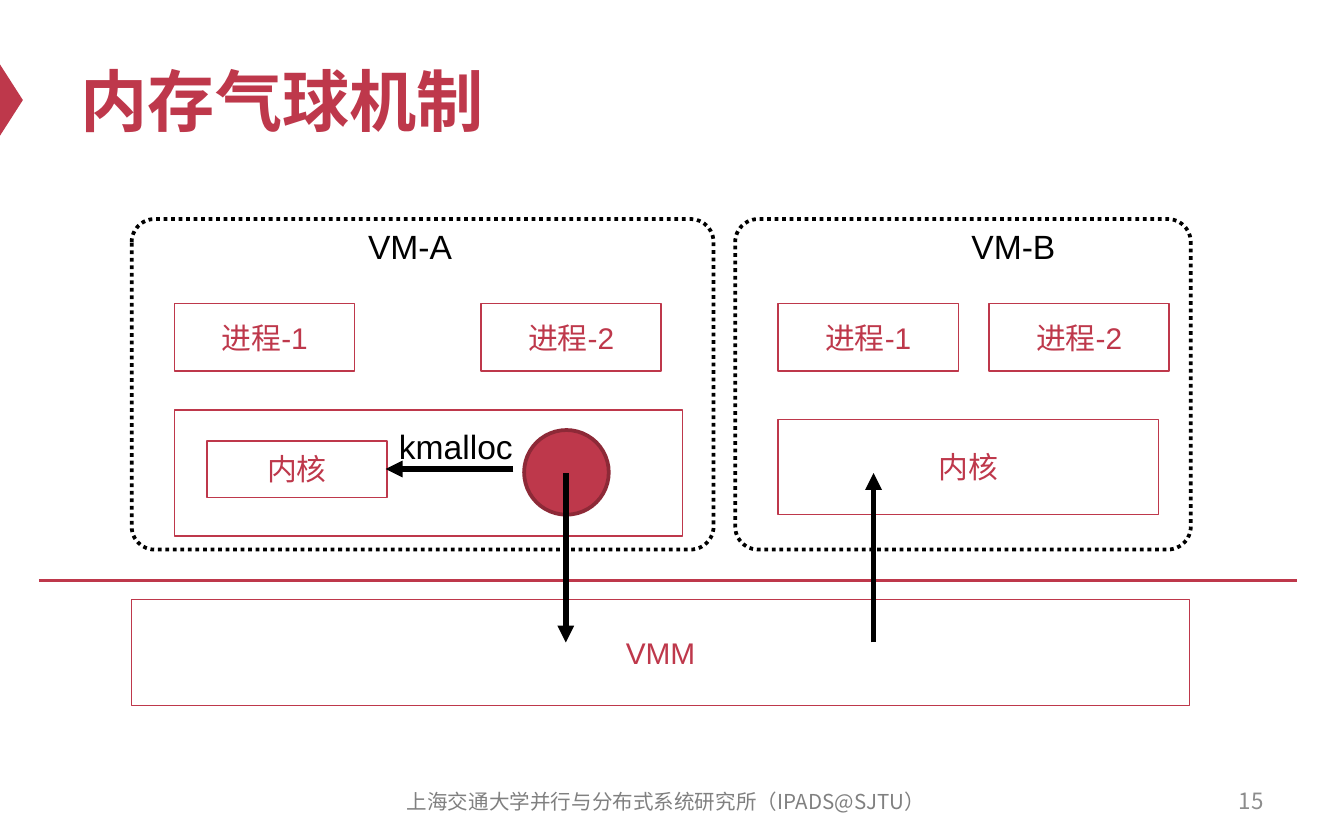
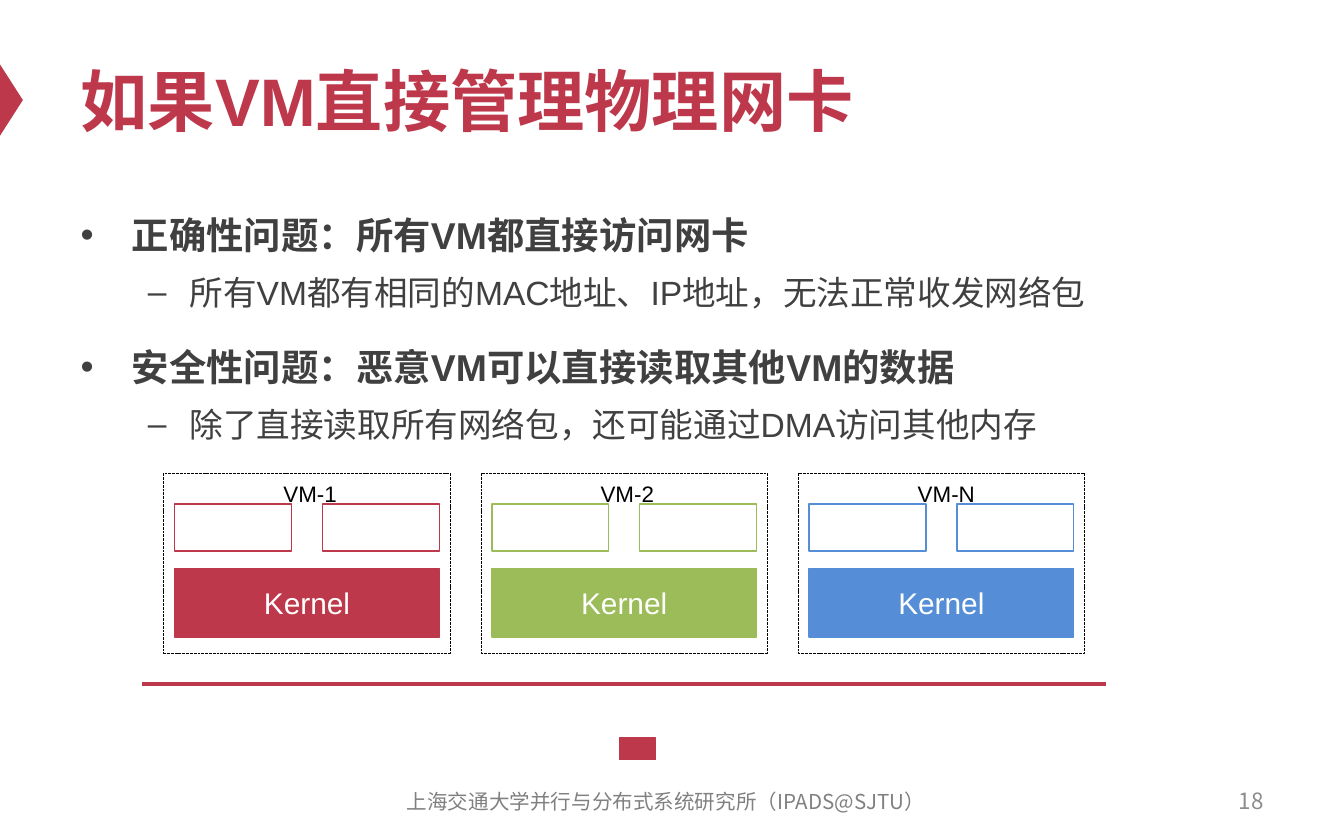
from lxml.etree import SubElement
from pptx import Presentation
from pptx.dml.color import RGBColor
from pptx.enum.dml import MSO_LINE
from pptx.enum.shapes import MSO_CONNECTOR, MSO_SHAPE as Shape
from pptx.enum.text import MSO_ANCHOR as Anchor, MSO_AUTO_SIZE as AutoSize, PP_ALIGN as Align
from pptx.oxml.ns import qn
from pptx.util import Inches, Pt

RED, DARK_RED, GREEN, BLUE = "BE384B", "8D2937", "9BBC59", "558ED6"
BLACK, WHITE, TEXT = "000000", "FFFFFF", "404040"
LATIN, CJK = "Arial", "Noto Sans CJK SC"
FOOTER = "上海交通大学并行与分布式系统研究所（IPADS@SJTU）"

BALLOON_TITLE = "内存气球机制"
PROCESS_TOP, PROCESS_SIZE = 2.26, (1.34, 0.5)
MACHINES = [
    {"name": "VM-A", "left": 0.98, "width": 4.33, "label_left": 2.64,
     "processes": [("进程-1", 1.3), ("进程-2", 3.58)],
     "kernels": [("", 1.3, 3.05, 3.78, 0.94), ("内核", 1.54, 3.28, 1.34, 0.42)]},
    {"name": "VM-B", "left": 5.47, "width": 3.39, "label_left": 7.13,
     "processes": [("进程-1", 5.79), ("进程-2", 7.36)],
     "kernels": [("内核", 5.79, 3.12, 2.83, 0.71)]},
]
ARROWS = [
    ((3.82, 3.49), (2.87, 3.49)),
    ((4.21, 3.52), (4.21, 4.78)),
    ((6.5, 4.78), (6.5, 3.52)),
]

NETWORK_TITLE = "如果VM直接管理物理网卡"
BULLETS = [
    (0, "正确性问题：所有VM都直接访问网卡"),
    (1, "所有VM都有相同的MAC地址、IP地址，无法正常收发网络包"),
    (0, "安全性问题：恶意VM可以直接读取其他VM的数据"),
    (1, "除了直接读取所有网络包，还可能通过DMA访问其他内存"),
]
LEVELS = [
    {"mark": "•", "margin": 0.38, "indent": -0.38, "before": 12, "size": 20, "bold": True},
    {"mark": "–", "margin": 0.81, "indent": -0.31, "before": 4, "size": 18, "bold": False},
]
GUESTS = [("VM-1", RED), ("VM-2", GREEN), ("VM-N", BLUE)]
GUEST_LEFT, GUEST_PITCH = 1.22, 2.36


def color(value):
    return RGBColor.from_string(value)


def write(paragraph, text, size=16, fill=BLACK, bold=False, font=LATIN, align=Align.LEFT):
    paragraph.alignment = align
    run = paragraph.add_run()
    run.text = text
    run.font.size, run.font.bold, run.font.name = Pt(size), bold, font
    run.font.color.rgb = color(fill)
    east_asian = SubElement(run.font._element, qn("a:ea"))
    east_asian.set("typeface", CJK)


def place(shape, left, top, width, height):
    shape.left, shape.top = Inches(left), Inches(top)
    shape.width, shape.height = Inches(width), Inches(height)


def add_box(slide, left, top, width, height, kind=Shape.RECTANGLE, fill=None,
            line=None, weight=0.75, dash=None, text="", text_fill=RED):
    shape = slide.shapes.add_shape(kind, *map(Inches, (left, top, width, height)))
    shape.shadow.inherit = False
    if fill:
        shape.fill.solid()
        shape.fill.fore_color.rgb = color(fill)
    else:
        shape.fill.background()
    if line:
        shape.line.color.rgb = color(line)
        shape.line.width = Pt(weight)
        shape.line.dash_style = dash
    else:
        shape.line.fill.background()
    if text:
        shape.text_frame.vertical_anchor = Anchor.MIDDLE
        write(shape.text_frame.paragraphs[0], text, fill=text_fill, align=Align.CENTER)
    return shape


def add_label(slide, text, left, top, width, height, wrap=False, **style):
    frame = slide.shapes.add_textbox(*map(Inches, (left, top, width, height))).text_frame
    frame.word_wrap = wrap
    if wrap:
        frame.vertical_anchor = Anchor.MIDDLE
    else:
        frame.auto_size = AutoSize.SHAPE_TO_FIT_TEXT
    write(frame.paragraphs[0], text, **style)


def add_line(slide, start, end, fill=RED, weight=2, arrow=False):
    connector = slide.shapes.add_connector(
        MSO_CONNECTOR.STRAIGHT, *map(Inches, (*start, *end)))
    connector.line.color.rgb = color(fill)
    connector.line.width = Pt(weight)
    if arrow:
        SubElement(connector.line._get_or_add_ln(), qn("a:tailEnd")).set("type", "triangle")
    SubElement(connector._element.spPr, qn("a:effectLst"))


def start_slide(presentation, layout, title, number):
    slide = presentation.slides.add_slide(presentation.slide_layouts[layout])
    add_box(slide, -0.18, 0.66, 0.53, 0.17, Shape.ISOSCELES_TRIANGLE, fill=RED).rotation = 90
    place(slide.shapes.title, 0.5, 0.25, 9, 0.98)
    frame = slide.shapes.title.text_frame
    frame.vertical_anchor, frame.auto_size = Anchor.MIDDLE, AutoSize.NONE
    write(frame.paragraphs[0], title, size=36, fill=RED, bold=True)
    add_label(slide, number, 7.17, 5.79, 2.33, 0.33, wrap=True,
              size=12, fill="8C8C8C", font=CJK, align=Align.RIGHT)
    add_label(slide, FOOTER, 2.79, 5.8, 4.33, 0.33, wrap=True,
              size=11, fill="808080", font=CJK, align=Align.CENTER)
    return slide


def fill_bullets(body):
    place(body, 0.5, 1.46, 9, 4.12)
    frame = body.text_frame
    frame.auto_size = AutoSize.NONE
    for index, (level, text) in enumerate(BULLETS):
        style = LEVELS[level]
        paragraph = frame.add_paragraph() if index else frame.paragraphs[0]
        properties = paragraph._p.get_or_add_pPr()
        properties.set("marL", str(Inches(style["margin"])))
        properties.set("indent", str(Inches(style["indent"])))
        SubElement(properties, qn("a:buFont")).set("typeface", LATIN)
        SubElement(properties, qn("a:buChar")).set("char", style["mark"])
        paragraph.level = level
        paragraph.line_spacing = 1.2
        paragraph.space_before = Pt(style["before"] if index else 0)
        write(paragraph, text, size=style["size"], fill=TEXT, bold=style["bold"])


def build_balloon_slide(presentation):
    slide = start_slide(presentation, 5, BALLOON_TITLE, "15")
    add_line(slide, (0.29, 4.32), (9.65, 4.32))
    add_box(slide, 0.98, 4.46, 7.87, 0.79, fill=WHITE, line=RED, text="VMM")
    for machine in MACHINES:
        for text, *area in machine["kernels"]:
            add_box(slide, *area, fill=WHITE, line=RED, text=text)
        for text, left in machine["processes"]:
            add_box(slide, left, PROCESS_TOP, *PROCESS_SIZE, fill=WHITE, line=RED, text=text)
        frame = add_box(slide, machine["left"], 1.63, machine["width"], 2.46,
                        Shape.ROUNDED_RECTANGLE, line=BLACK, weight=2, dash=MSO_LINE.ROUND_DOT)
        frame.adjustments[0] = 0.07
        add_label(slide, machine["name"], machine["label_left"], 1.63, 0.83, 0.4, size=18)
    add_label(slide, "kmalloc", 2.87, 3.12, 1.06, 0.4, size=18)
    add_box(slide, 3.9, 3.2, 0.63, 0.63, Shape.OVAL, fill=RED, line=DARK_RED, weight=2)
    for start, end in ARROWS:
        add_line(slide, start, end, fill=BLACK, weight=3, arrow=True)


def build_network_slide(presentation):
    slide = start_slide(presentation, 1, NETWORK_TITLE, "18")
    fill_bullets(slide.placeholders[1])
    add_line(slide, (1.06, 5.09), (8.23, 5.09))
    for index, (name, tint) in enumerate(GUESTS):
        left = GUEST_LEFT + index * GUEST_PITCH
        add_box(slide, left + 0.08, 4.23, 1.97, 0.51, fill=tint, line=tint,
                text="Kernel", text_fill=WHITE)
        for offset in (0.08, 1.18):
            add_box(slide, left + offset, 3.75, 0.87, 0.35, line=tint)
        add_box(slide, left, 3.52, 2.13, 1.34, line=BLACK, weight=0.5, dash=MSO_LINE.SQUARE_DOT)
        add_label(slide, name, left + 0.79, 3.52, 0.65, 0.3, size=12)
    add_box(slide, 4.61, 5.49, 0.27, 0.16, fill=RED, line=RED)


def main():
    presentation = Presentation()
    presentation.slide_width, presentation.slide_height = Inches(10), Inches(6.25)
    build_balloon_slide(presentation)
    build_network_slide(presentation)
    presentation.save("out.pptx")


if __name__ == "__main__":
    main()
